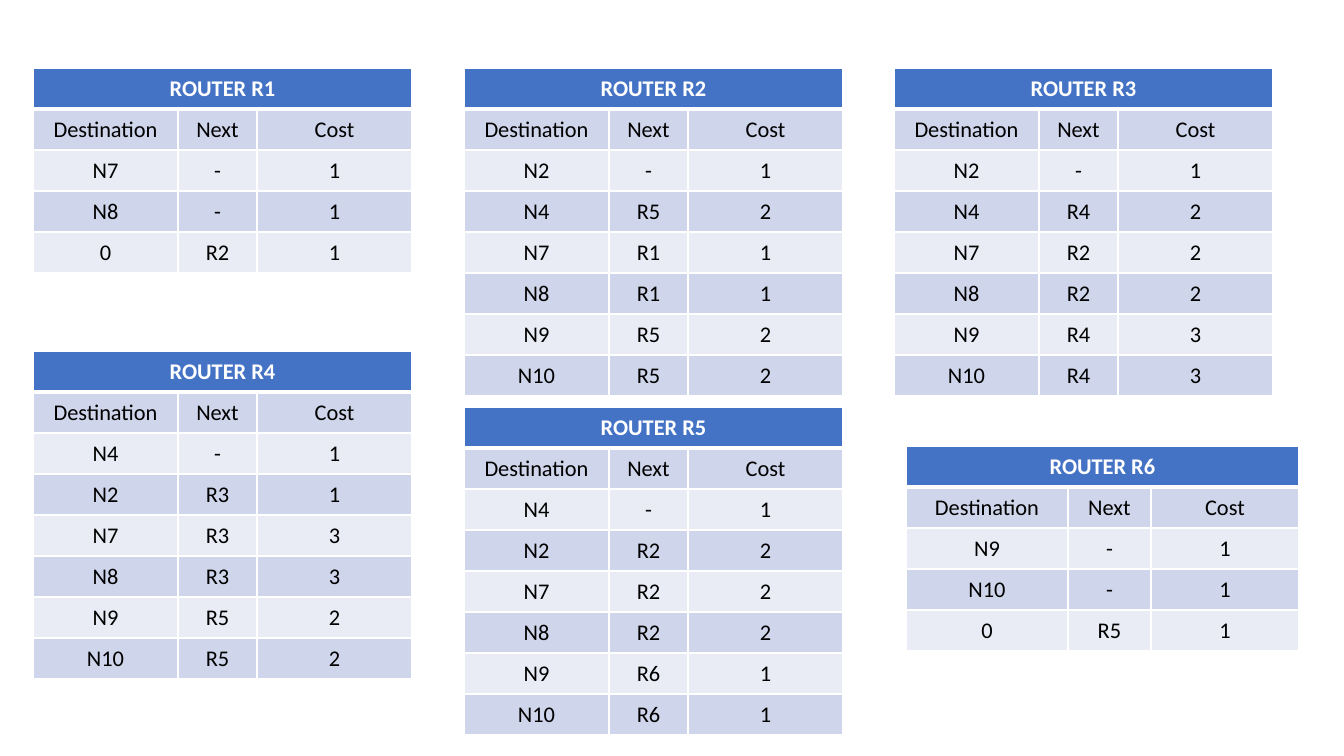
from dataclasses import dataclass

from lxml import etree
from pptx import Presentation
from pptx import util as u
from pptx.dml.color import RGBColor
from pptx.enum import text
from pptx.oxml import ns

PX = 9072
ROW = 41
TOP = 68
LEFT, MID, RIGHT = 33, 464, 894
COLS = (145, 79, 155)
WIDE = (162, 83, 148)
HEAD = "Destination Next Cost"


@dataclass(frozen=True)
class Theme:
    font: str = "Calibri"
    size: int = 16
    head: str = "4472C4"
    dark: str = "CFD5EA"
    light: str = "E9EBF5"
    ink: str = "000000"
    line: str = "FFFFFF"
    thin: int = 1
    thick: int = 3


THEME = Theme()

ROUTERS = (
    ("ROUTER R1", LEFT, TOP, COLS, ("N7 - 1", "N8 - 1", "0 R2 1")),
    ("ROUTER R2", MID, TOP, COLS,
     ("N2 - 1", "N4 R5 2", "N7 R1 1", "N8 R1 1", "N9 R5 2", "N10 R5 2")),
    ("ROUTER R6", 906, 446, WIDE, ("N9 - 1", "N10 - 1", "0 R5 1")),
    ("ROUTER R3", RIGHT, TOP, COLS,
     ("N2 - 1", "N4 R4 2", "N7 R2 2", "N8 R2 2", "N9 R4 3", "N10 R4 3")),
    ("ROUTER R4", LEFT, 351, COLS,
     ("N4 - 1", "N2 R3 1", "N7 R3 3", "N8 R3 3", "N9 R5 2", "N10 R5 2")),
    ("ROUTER R5", MID, 407, COLS,
     ("N4 - 1", "N2 R2 2", "N7 R2 2", "N8 R2 2", "N9 R6 1", "N10 R6 1")),
)


def write(frame, words, color=THEME.ink, bold=False):
    para = frame.paragraphs[0]
    para.alignment = text.PP_ALIGN.CENTER
    run = para.add_run()
    run.text = words
    run.font.name = THEME.font
    run.font.size = u.Pt(THEME.size)
    run.font.bold = bold
    run.font.color.rgb = RGBColor.from_string(color)


def edge(cell, top, base):
    props = cell._tc.get_or_add_tcPr()
    widths = {"L": THEME.thin, "R": THEME.thin, "T": top, "B": base}
    for side, width in widths.items():
        line = etree.SubElement(props, ns.qn("a:ln" + side), w=str(u.Pt(width)))
        fill = etree.SubElement(line, ns.qn("a:solidFill"))
        etree.SubElement(fill, ns.qn("a:srgbClr"), val=THEME.line)


def paint(cell, row):
    edge(cell,
         top=THEME.thick if row == 1 else THEME.thin,
         base=THEME.thick if row == 0 else THEME.thin)
    color = THEME.head if row == 0 else THEME.dark if row % 2 else THEME.light
    cell.fill.solid()
    cell.fill.fore_color.rgb = RGBColor.from_string(color)
    cell.vertical_anchor = text.MSO_ANCHOR.MIDDLE


def add_router(slide, name, left, top, cols, routes):
    lines = [HEAD, *routes]
    count = len(lines) + 1
    table = slide.shapes.add_table(count, len(cols), left * PX, top * PX,
                                   sum(cols) * PX, count * ROW * PX).table
    for col, width in zip(table.columns, cols):
        col.width = width * PX
    for row, band in enumerate(table.rows):
        band.height = ROW * PX
        for cell in band.cells:
            paint(cell, row)
    title = table.cell(0, 0)
    title.merge(table.cell(0, len(cols) - 1))
    write(title.text_frame, name, color=THEME.line, bold=True)
    for row, line in enumerate(lines, 1):
        for col, words in enumerate(line.split()):
            write(table.cell(row, col).text_frame, words)


def main():
    deck = Presentation()
    deck.slide_width, deck.slide_height = 1344 * PX, 756 * PX
    slide = deck.slides.add_slide(deck.slide_layouts[6])
    for router in ROUTERS:
        add_router(slide, *router)
    deck.save("out.pptx")


if __name__ == "__main__":
    main()
